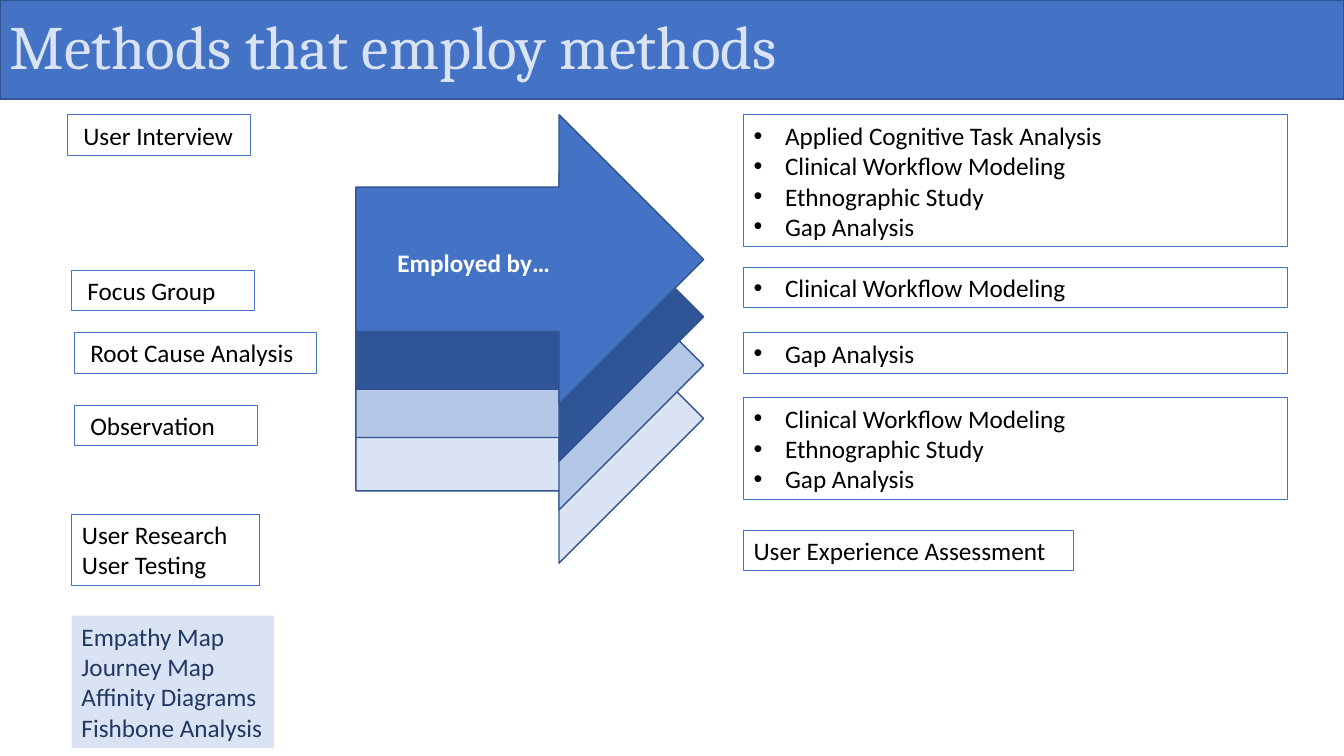
from lxml import etree
from pptx import Presentation
from pptx.dml.color import RGBColor as RGB
from pptx.enum.shapes import MSO_SHAPE as Kind
from pptx.enum.text import MSO_ANCHOR as Anchor, PP_ALIGN as Align
from pptx.oxml.ns import qn
from pptx.util import Pt

BLUE = RGB(0x44, 0x72, 0xC4)
EDGE = RGB(0x32, 0x54, 0x91)
DEEP = RGB(0x2F, 0x55, 0x97)
MID = RGB(0xB4, 0xC7, 0xE7)
PALE = RGB(0xDA, 0xE3, 0xF3)
NAVY = RGB(0x20, 0x38, 0x64)
BLACK = RGB(0, 0, 0)
WHITE = RGB(0xFF, 0xFF, 0xFF)

WIDE, HIGH = 960, 540
ROW = 21.8   # height of one text line in a box
PAD = 7.2    # top and bottom inset together
DENT = 22.5  # hanging indent of bullets


def add_form(slide, kind, x, y, w, h, fill=None, line=None, weight=1):
    form = slide.shapes.add_shape(kind, Pt(x), Pt(y), Pt(w), Pt(h))
    form.shadow.inherit = False
    if fill is None:
        form.fill.background()
    else:
        form.fill.solid()
        form.fill.fore_color.rgb = fill
    if line is None:
        form.line.fill.background()
    else:
        form.line.color.rgb = line
        form.line.width = Pt(weight)
    return form


def add_dot(para):
    props = para._p.get_or_add_pPr()
    props.set("marL", str(Pt(DENT)))
    props.set("indent", str(-Pt(DENT)))
    etree.SubElement(props, qn("a:buFont")).set("typeface", "Arial")
    etree.SubElement(props, qn("a:buChar")).set("char", "•")


def set_text(form, lines, color, size=18, face="Calibri", bold=False,
             align=Align.LEFT, dots=False):
    frame = form.text_frame
    frame.word_wrap = True
    frame.vertical_anchor = Anchor.MIDDLE
    frame.text = "\n".join(lines)
    for para in frame.paragraphs:
        para.alignment = align
        if dots:
            add_dot(para)
        for run in para.runs:
            run.font.name = face
            run.font.size = Pt(size)
            run.font.bold = bold
            run.font.color.rgb = color
    return frame


def add_title(slide, x, y, w, h):
    bar = add_form(slide, Kind.RECTANGLE, x, y, w, h, BLUE, EDGE)
    frame = set_text(bar, ["Methods that employ methods"], PALE, 44, "Cambria")
    frame.paragraphs[0].line_spacing = 0.9


def add_box(slide, x, y, w, lines, inset=7.2, dots=False,
            fill=None, line=BLUE, color=BLACK):
    box = add_form(slide, Kind.RECTANGLE, x, y, w, PAD + ROW * len(lines),
                   fill, line, 0.75)
    frame = set_text(box, lines, color, dots=dots)
    frame.margin_left = Pt(inset)
    return frame


def add_left(slide, x, y):
    # Single methods, set in a little further
    for dx, dy, w, name in [(0, 0, 131, "User Interview"),
                            (2.9, 111, 131, "Focus Group"),
                            (5, 155.5, 172.8, "Root Cause Analysis"),
                            (5, 207.4, 131, "Observation")]:
        add_box(slide, x + dx, y + dy, w, [name], inset=11.3)
    add_box(slide, x + 3.2, y + 285.3, 134, ["User Research", "User Testing"])
    # Tinted list with no outline
    frame = add_box(slide, x + 2.9, y + 357.8, 144.7,
                    ["Empathy Map", "Journey Map", "Affinity Diagrams",
                     "Fishbone Analysis"], fill=PALE, line=None, color=NAVY)
    frame.word_wrap = False


def add_right(slide, x, y, w):
    task, flow = "Applied Cognitive Task Analysis", "Clinical Workflow Modeling"
    study, gap = "Ethnographic Study", "Gap Analysis"
    for dy, lines in [(0, [task, flow, study, gap]), (109, [flow]),
                      (155.8, [gap]), (202, [flow, study, gap])]:
        add_box(slide, x, y + dy, w, lines, dots=True)
    add_box(slide, x, y + 296.7, 235.5, ["User Experience Assessment"])


def add_stack(slide, x, y, w, h):
    # Arrows from the back to the front
    for dy, fill in [(113.7, PALE), (75.6, MID), (41, DEEP), (0, BLUE)]:
        add_form(slide, Kind.RIGHT_ARROW, x, y + dy, w, h, fill, EDGE)
    label = slide.shapes.add_textbox(Pt(x + 5), Pt(y + 90.7),
                                     Pt(158.4), Pt(PAD + ROW))
    set_text(label, ["Employed by…"], WHITE, bold=True, align=Align.CENTER)


def main():
    deck = Presentation()
    deck.slide_width, deck.slide_height = Pt(WIDE), Pt(HIGH)
    slide = deck.slides.add_slide(deck.slide_layouts[6])
    add_title(slide, 0, 0, WIDE, 70.6)
    add_left(slide, 48.2, 82)
    add_right(slide, 531.2, 82, 388.8)
    add_stack(slide, 254.2, 82, 248.4, 206.6)
    deck.save("out.pptx")


if __name__ == "__main__":
    main()
